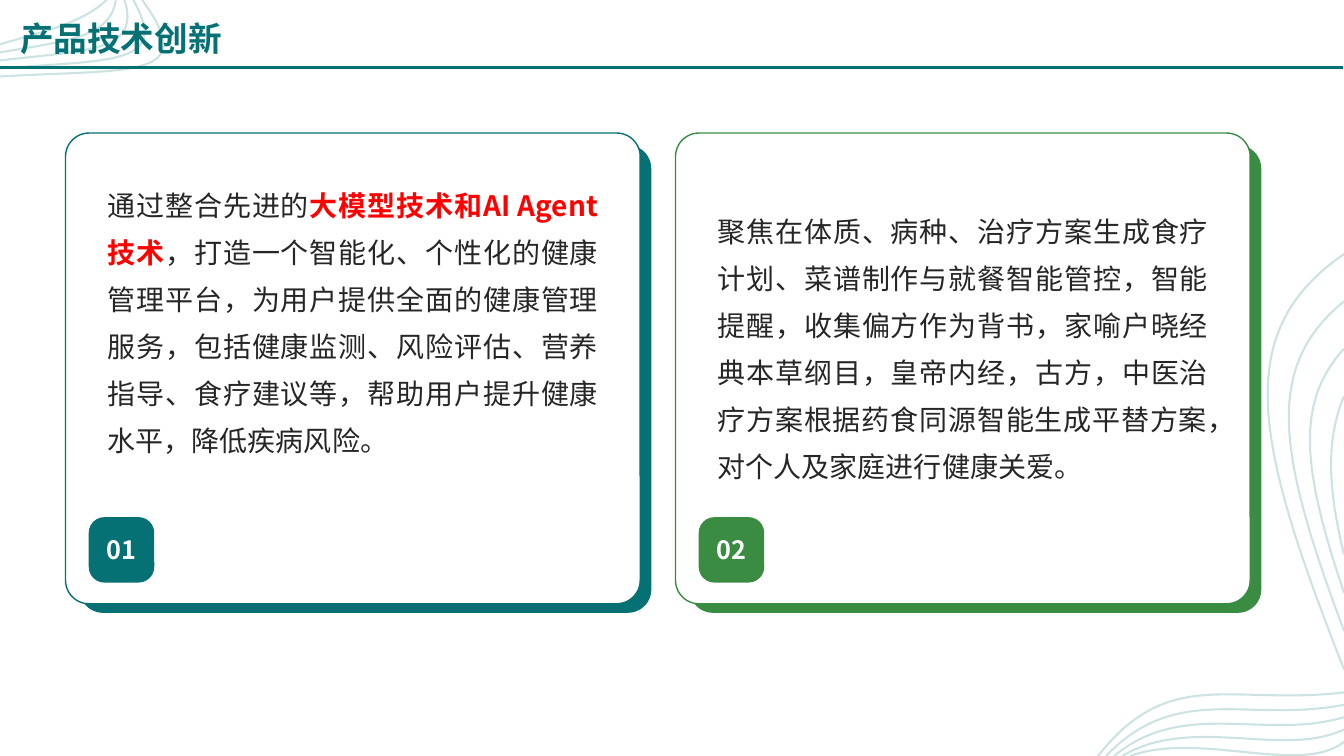
import pptx
import pptx.dml.color
import pptx.enum.shapes
import pptx.enum.text
import pptx.oxml
import pptx.oxml.ns
import pptx.util

RGB = pptx.dml.color.RGBColor
SHAPE = pptx.enum.shapes.MSO_SHAPE
ANCHOR = pptx.enum.text.MSO_ANCHOR
ALIGN = pptx.enum.text.PP_ALIGN

TEAL = RGB(0x05, 0x71, 0x74)
GREEN = RGB(0x3A, 0x8C, 0x42)
PALE_TEAL = RGB(0xCD, 0xE3, 0xE3)
RED = RGB(0xFF, 0x00, 0x00)
INK = RGB(0x26, 0x26, 0x26)
WHITE = RGB(0xFF, 0xFF, 0xFF)

PX = 9144  # 100 px to the inch
CJK = "Noto Sans CJK SC"
TITLE = "产品技术创新"
BODY = {"size": pptx.util.Pt(20), "bold": False}
STRONG = {"size": pptx.util.Pt(20), "bold": True}

# label, colour, anchor, top inset, runs
CARDS = [
    ("01", TEAL, ANCHOR.TOP, 35, [
        ("通过整合先进的", INK, BODY),
        ("大模型技术和AI Agent技术", RED, STRONG),
        ("，打造一个智能化、个性化的健康管理平台，为用户提供全面的健康管理服务，"
         "包括健康监测、风险评估、营养指导、食疗建议等，帮助用户提升健康水平，"
         "降低疾病风险。", INK, BODY),
    ]),
    ("02", GREEN, ANCHOR.MIDDLE, 24, [
        ("聚焦在体质、病种、治疗方案生成食疗计划、菜谱制作与就餐智能管控，智能提醒，"
         "收集偏方作为背书，家喻户晓经典本草纲目，皇帝内经，古方，中医治疗方案根据"
         "药食同源智能生成平替方案，对个人及家庭进行健康关爱。", INK, BODY),
    ]),
]
CARD_X, CARD_Y, CARD_W, CARD_H, CARD_PITCH = 65, 132, 570, 467, 605
SHADOW = (14, 12, 567, 464)
BADGE = (23, 381, 65, 65)

# count, first and last Bezier curve of each family of waves
WAVES = [
    (5, [(0, 76), (130, 68), (200, 80), (141, 0)],
        [(0, 44), (40, 32), (80, 24), (106, 0)]),
    (4, [(1333, 252), (1220, 330), (1245, 440), (1333, 664)],
        [(1333, 393), (1316, 435), (1316, 480), (1333, 550)]),
    (5, [(1333, 687), (1220, 700), (1160, 660), (1089, 750)],
        [(1333, 736), (1290, 770), (1190, 725), (1121, 750)]),
]


def blend(a, b, t):
    return tuple(u + (v - u) * t for u, v in zip(a, b))


def bezier_point(nodes, t):
    while len(nodes) > 1:
        nodes = [blend(a, b, t) for a, b in zip(nodes, nodes[1:])]
    return tuple(round(v * PX) for v in nodes[0])


def add_wave(s, nodes, steps=40):
    start, *rest = [bezier_point(nodes, k / steps) for k in range(steps + 1)]
    builder = s.shapes.build_freeform(*start, scale=1.0)
    builder.add_line_segments(rest, close=False)
    sp = builder.convert_to_shape()
    sp.shadow.inherit = False
    sp.fill.background()
    sp.line.color.rgb = PALE_TEAL
    sp.line.width = pptx.util.Pt(1.5)


def add_waves(s, count, first, last):
    for i in range(count):
        add_wave(s, [blend(a, b, i / (count - 1)) for a, b in zip(first, last)])


def add_round_box(s, box, radius, fill, line=None):
    sp = s.shapes.add_shape(SHAPE.ROUNDED_RECTANGLE, *(v * PX for v in box))
    sp.adjustments[0] = radius
    sp.shadow.inherit = False
    sp.fill.solid()
    sp.fill.fore_color.rgb = fill
    if line is None:
        sp.line.fill.background()
    else:
        sp.line.color.rgb = line
        sp.line.width = pptx.util.Pt(1)
    return sp


def write(sp, runs, frame, paragraph, latin=CJK):
    tf = sp.text_frame
    for name, value in frame.items():
        setattr(tf, name, value)
    p = tf.paragraphs[0]
    for name, value in paragraph.items():
        setattr(p, name, value)
    for text, color, style in runs:
        r = p.add_run()
        r.text = text
        for name, value in style.items():
            setattr(r.font, name, value)
        r.font.color.rgb = color
        r.font.name = latin
    for tag in list(sp.element.iter(pptx.oxml.ns.qn("a:latin"))):
        tag.addnext(pptx.oxml.parse_xml(
            f'<a:ea {pptx.oxml.ns.nsdecls("a")} typeface="{CJK}"/>'))


def add_header(s):
    rule = s.shapes.add_connector(
        pptx.enum.shapes.MSO_CONNECTOR.STRAIGHT, 0, 67 * PX, 1332 * PX, 67 * PX)
    rule.line.color.rgb = TEAL
    rule.line.width = pptx.util.Pt(2.5)
    rule.element.spPr.append(pptx.oxml.parse_xml(
        f'<a:effectLst {pptx.oxml.ns.nsdecls("a")}/>'))
    title = s.shapes.title
    title.left, title.top, title.width, title.height = (
        v * PX for v in (10, 13, 339, 50))
    write(title, [(TITLE, TEAL, {"size": pptx.util.Pt(24), "bold": True})],
          {"vertical_anchor": ANCHOR.TOP, "word_wrap": True,
           "auto_size": pptx.enum.text.MSO_AUTO_SIZE.NONE},
          {"alignment": ALIGN.LEFT}, latin="Roboto")
    rule.element.addnext(title.element)


def add_card(s, x, label, color, anchor, top_inset, runs):
    def placed(box):
        return (x + box[0], CARD_Y + box[1], *box[2:])

    add_round_box(s, placed(SHADOW), 0.05, color)
    card = add_round_box(s, (x, CARD_Y, CARD_W, CARD_H), 0.05, WHITE, color)
    write(card, runs,
          {"vertical_anchor": anchor, "word_wrap": True,
           "margin_left": 35 * PX, "margin_right": 35 * PX,
           "margin_top": top_inset * PX, "margin_bottom": 76 * PX},
          {"alignment": ALIGN.JUSTIFY, "line_spacing": 1.4})
    badge = add_round_box(s, placed(BADGE), 0.24, color)
    write(badge, [(label, WHITE, {"size": pptx.util.Pt(18), "bold": True})],
          {"vertical_anchor": ANCHOR.MIDDLE, "word_wrap": True},
          {"alignment": ALIGN.CENTER})


def main():
    prs = pptx.Presentation()
    prs.slide_width, prs.slide_height = 1333 * PX, 750 * PX
    s = prs.slides.add_slide(prs.slide_layouts[5])
    for family in WAVES:
        add_waves(s, *family)
    add_header(s)
    for i, card in enumerate(CARDS):
        add_card(s, CARD_X + i * CARD_PITCH, *card)
    prs.save("out.pptx")


if __name__ == "__main__":
    main()
